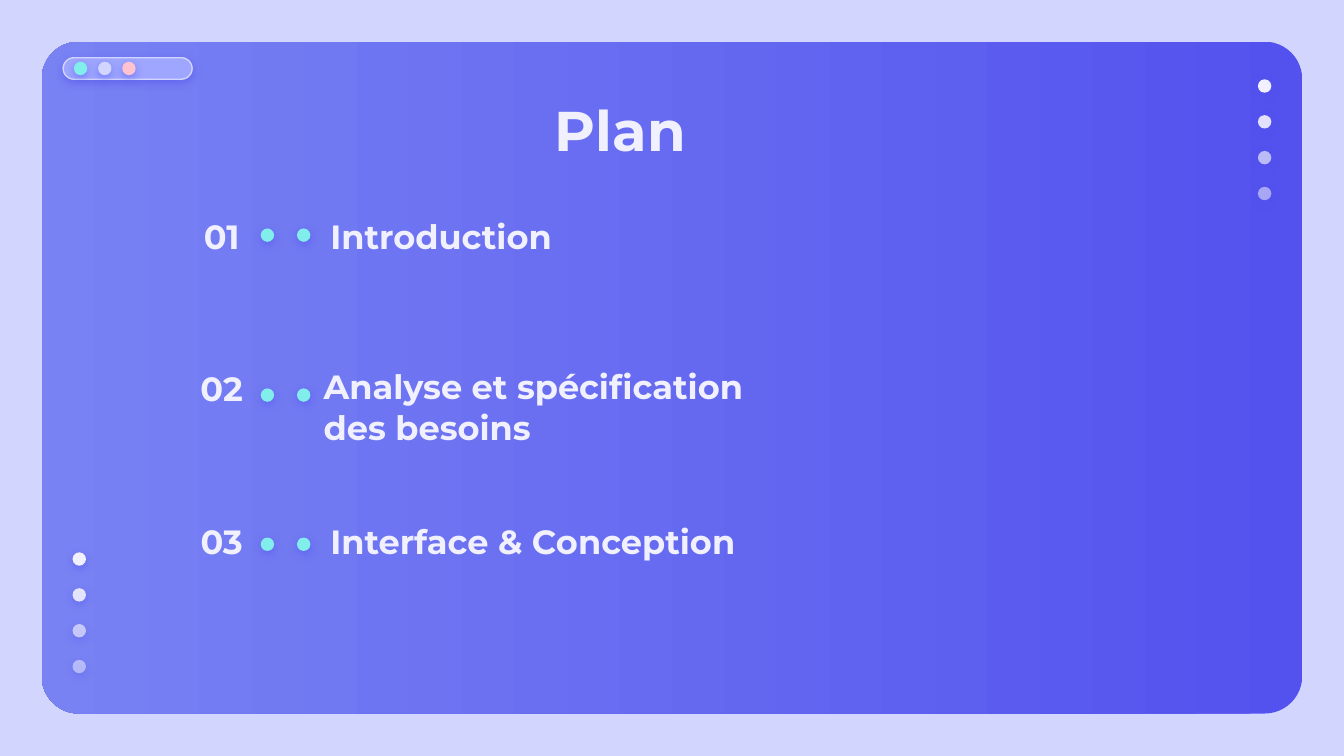
from lxml.etree import SubElement
from pptx import Presentation
from pptx.dml.color import RGBColor
from pptx.enum.shapes import MSO_SHAPE
from pptx.enum.text import MSO_ANCHOR, MSO_AUTO_SIZE, PP_ALIGN
from pptx.oxml.ns import qn
from pptx.util import Inches, Pt

# Content: number, heading, heading box, top of the number, top of the dots
TITLE = "Plan"
SECTIONS = [
    ("01", "Introduction", (2.36, 1.62, 2.52, 0.27), 1.62, 1.70),
    ("02", "Analyse et spécification\ndes besoins", (2.31, 2.73, 3.52, 0.59), 2.75, 2.89),
    ("03", "Interface & Conception", (2.36, 3.77, 3.47, 0.51), 3.89, 4.00),
]
COLORS = {
    "background": "D2D6FF", "deep": "5352EE", "light": "7882F3", "bar": "9EA6FF",
    "mint": "81EEEB", "pink": "FFC3D0", "text": "F1F0FF",
}
FONT = "Montserrat"
DOT = 0.1
FADE = [100, 90, 67, 54]          # opacity of each dot in a column
FADE_SPAN = 0.8                   # from the first dot to the last
COLUMNS = [(9.36, 0.59), (0.54, 4.11)]
BUTTONS = ["mint", "background", "pink"]


def rgb(name):
    return RGBColor.from_string(COLORS[name])


def add_alpha(color, percent):
    SubElement(color, qn("a:alpha"), val=str(percent * 1000))


def add_shape(kind, box, fill=None, opacity=100, shadow=True):
    sp = slide.shapes.add_shape(kind, *map(Inches, box))
    sp.shadow.inherit = False
    sp.line.fill.background()
    if fill:
        sp.fill.solid()
        sp.fill.fore_color.rgb = rgb(fill)
        if opacity < 100:
            add_alpha(sp.element.spPr.find(".//" + qn("a:srgbClr")), opacity)
    if shadow:
        effects = sp.element.spPr.find(qn("a:effectLst"))
        outer = SubElement(effects, qn("a:outerShdw"), blurRad=str(Pt(4.5)),
                           dist=str(Pt(1.5)), dir="5400000", algn="bl", rotWithShape="0")
        add_alpha(SubElement(outer, qn("a:srgbClr"), val=COLORS["deep"]), 50)
    return sp


def add_dot(left, top, fill, opacity=100):
    return add_shape(MSO_SHAPE.OVAL, (left, top, DOT, DOT), fill, opacity)


def write(sp, text, box, size=18, align=PP_ALIGN.LEFT, anchor=MSO_ANCHOR.MIDDLE):
    sp.left, sp.top, sp.width, sp.height = map(Inches, box)
    tf = sp.text_frame
    tf.word_wrap = True
    tf.auto_size = MSO_AUTO_SIZE.NONE
    tf.vertical_anchor = anchor
    tf.margin_left = tf.margin_right = tf.margin_top = tf.margin_bottom = Inches(0.1)
    p = tf.paragraphs[0]
    p.text = text
    p.alignment = align
    for r in p.runs:
        r.font.name = FONT
        r.font.size = Pt(size)
        r.font.bold = True
        r.font.color.rgb = rgb("text")


def add_text(text, box, **fmt):
    write(slide.shapes.add_textbox(0, 0, 0, 0), text, box, **fmt)


# A 16:9 slide
prs = Presentation()
prs.slide_width = Inches(10)
prs.slide_height = prs.slide_width * 9 // 16
slide = prs.slides.add_slide(prs.slide_layouts[5])
slide.background.fill.solid()
slide.background.fill.fore_color.rgb = rgb("background")

# Gradient panel
panel = add_shape(MSO_SHAPE.ROUNDED_RECTANGLE, (0.31, 0.31, 9.38, 5), shadow=False)
panel.adjustments[0] = 0.056
panel.fill.gradient()
panel.fill.gradient_angle = 180
for stop, name in zip(panel.fill.gradient_stops, ("deep", "light")):
    stop.color.rgb = rgb(name)

# Window bar with three buttons
bar = add_shape(MSO_SHAPE.ROUNDED_RECTANGLE, (0.47, 0.43, 0.96, 0.16), "bar")
bar.adjustments[0] = 0.5
bar.line.color.rgb = rgb("background")
bar.line.width = Pt(0.75)
for i, name in enumerate(BUTTONS):
    add_dot(0.55 + i * 0.18, 0.46, name)

# Fading dot columns
for left, top in COLUMNS:
    for i, opacity in enumerate(FADE):
        add_dot(left, top + i * FADE_SPAN / (len(FADE) - 1), "text", opacity)

# Title, brought in front of the panel
title = slide.shapes.title
title.element.getparent().append(title.element)
write(title, TITLE, (0.4, 0.61, 8.43, 0.63), size=30,
      align=PP_ALIGN.CENTER, anchor=MSO_ANCHOR.TOP)

# Plan sections
for number, heading, box, number_top, dot_top in SECTIONS:
    add_text(number, (1.17, number_top, 0.96, 0.27), align=PP_ALIGN.CENTER)
    add_text(heading, box)
    for left in (1.94, 2.21):
        add_dot(left, dot_top, "mint")

prs.save("out.pptx")
